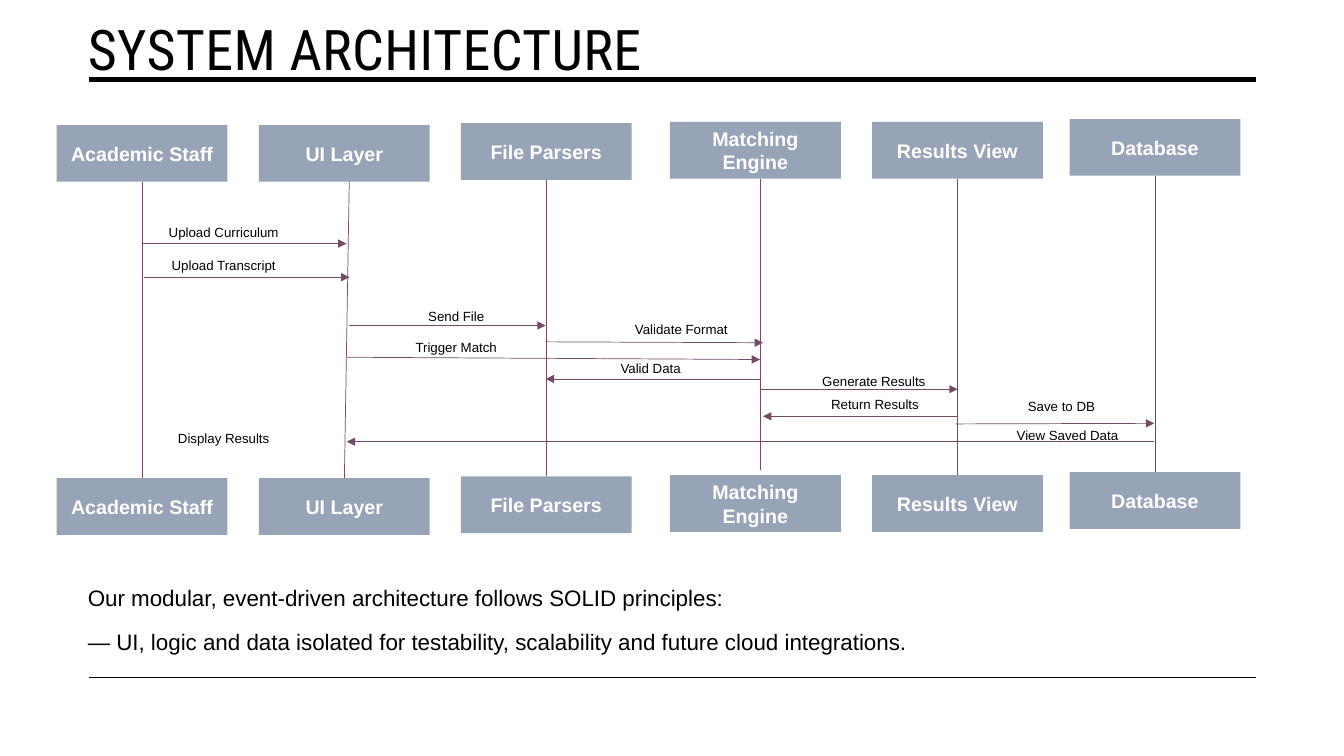
from lxml import etree
from pptx import Presentation
from pptx.dml.color import RGBColor
from pptx.enum.shapes import MSO_CONNECTOR, MSO_SHAPE
from pptx.enum.text import MSO_ANCHOR, MSO_AUTO_SIZE, PP_ALIGN
from pptx.oxml.ns import qn
from pptx.util import Pt

STRAIGHT = MSO_CONNECTOR.STRAIGHT
RECTANGLE = MSO_SHAPE.RECTANGLE
TOP, MIDDLE = MSO_ANCHOR.TOP, MSO_ANCHOR.MIDDLE
LEFT, CENTER = PP_ALIGN.LEFT, PP_ALIGN.CENTER
NO_AUTOFIT = MSO_AUTO_SIZE.NONE

COLOURS = {"text": "000000", "actor": "97A3B7", "actor_text": "FFFFFF", "line": "734B67"}
TITLE_FONT = {"name": "Roboto Condensed", "size": Pt(40), "bold": False}
BODY_FONT = {"name": "Arial", "size": Pt(16)}
ACTOR_FONT = {"name": "Arial", "size": Pt(14), "bold": True}
LABEL_FONT = {"name": "Arial", "size": Pt(9.5)}

ACTOR_WIDTH, ACTOR_HEIGHT = 122, 40.5
LOWER_ROW_OFFSET = 252.3
LABEL_WIDTH, LABEL_HEIGHT = 115.2, 19.4

# name, left, top, lifeline shift at its start and end, gap above the lower box
ACTORS = [
    ("Academic Staff", 40.5, 89.3, 0, 0, 0),
    ("UI Layer", 185, 89.3, 3.5, 0, 0),
    ("File Parsers", 329.2, 88, 0, 0, 0),
    ("Matching Engine", 478.6, 87.1, 3.3, 3.3, 3.5),
    ("Results View", 622.9, 87.1, 0, 0, 0),
    ("Database", 764, 85, 0, 0, 0),
]
LABELS = [
    ("Upload Curriculum", 102.2, 155.5),
    ("Upload Transcript", 102.2, 178.9),
    ("Display Results", 102.2, 303),
    ("Send File", 268.3, 215.3),
    ("Trigger Match", 268.3, 237.6),
    ("Validate Format", 429.1, 224.6),
    ("Valid Data", 407.2, 252.4),
    ("Generate Results", 566.6, 261.8),
    ("Return Results", 567.4, 278.6),
    ("Save to DB", 700.6, 280.1),
    ("View Saved Data", 704.9, 300.6),
]
MESSAGES = [
    (101.2, 174, 247.5, 174),
    (102.6, 198, 249.7, 198),
    (249.5, 232.5, 389.8, 232.5),
    (389.8, 244.2, 545, 244.8),
    (543.6, 278, 684, 278),
    (682.6, 302.8, 824.5, 302.4),
    (824.5, 315.5, 247.7, 315.5),
    (684, 297.4, 545, 297.4),
    (542.9, 270.7, 389.8, 270.7),
    (247.7, 255.2, 542.9, 256.8),
]

presentation = Presentation()
presentation.slide_width, presentation.slide_height = Pt(960), Pt(540)
slide = presentation.slides.add_slide(presentation.slide_layouts[1])


def write_text(shape, lines, font, colour, alignment, anchor, line_spacing=1.0):
    frame = shape.text_frame
    frame.text = "\n".join(lines)
    for name, value in {"word_wrap": True, "auto_size": NO_AUTOFIT, "vertical_anchor": anchor}.items():
        setattr(frame, name, value)
    for index, paragraph in enumerate(frame.paragraphs):
        paragraph.alignment = alignment
        paragraph.line_spacing = line_spacing
        paragraph.space_before = Pt(10 if index else 0)
        run = paragraph.runs[0]
        for name, value in font.items():
            setattr(run.font, name, value)
        run.font.color.rgb = RGBColor.from_string(COLOURS[colour])


def add_line(ends, colour, width):
    connector = slide.shapes.add_connector(STRAIGHT, *[Pt(value) for value in ends])
    connector.line.color.rgb = RGBColor.from_string(COLOURS[colour])
    connector.line.width = Pt(width)
    etree.SubElement(connector.element.spPr, qn("a:effectLst"))
    return connector


title = slide.shapes.title
body = slide.placeholders[1]
for placeholder, bounds in ((title, (55.5, 6.5, 841.7, 103)), (body, (55.5, 411.8, 796.3, 58.3))):
    for name, value in zip(("left", "top", "width", "height"), bounds):
        setattr(placeholder, name, Pt(value))

write_text(title, ["SYSTEM ARCHITECTURE"], TITLE_FONT, "text", LEFT, TOP)
title.text_frame.paragraphs[0].runs[0].font._element.set("spc", "30")

for paragraph_properties in ():
    pass

principles = [
    "Our modular, event-driven architecture follows SOLID principles:",
    "— UI, logic and data isolated for testability, scalability and future cloud integrations.",
]
write_text(body, principles, BODY_FONT, "text", LEFT, TOP, 1.1)
for paragraph in body.text_frame.paragraphs:
    properties = paragraph._p.get_or_add_pPr()
    properties.set("marL", "0")
    properties.set("indent", "0")
    etree.SubElement(properties, qn("a:buNone"))

for y, width in ((56.9, 3.5), (483.8, 1)):
    add_line((63.4, y, 897.1, y), "text", width)

for name, left, top, start_shift, end_shift, gap in ACTORS:
    boxes = []
    for box_top in (top, top + LOWER_ROW_OFFSET):
        box = slide.shapes.add_shape(RECTANGLE, Pt(left), Pt(box_top), Pt(ACTOR_WIDTH), Pt(ACTOR_HEIGHT))
        box.shadow.inherit = False
        box.fill.solid()
        box.fill.fore_color.rgb = RGBColor.from_string(COLOURS["actor"])
        box.line.fill.background()
        write_text(box, [name], ACTOR_FONT, "actor_text", CENTER, MIDDLE)
        boxes.append(box)
    middle = left + ACTOR_WIDTH / 2
    ends = (middle + start_shift, top + ACTOR_HEIGHT, middle + end_shift, top + LOWER_ROW_OFFSET - gap)
    lifeline = add_line(ends, "line", 0.5)
    if not start_shift:
        lifeline.begin_connect(boxes[0], 2)
    if not end_shift:
        lifeline.end_connect(boxes[1], 0)

for text, left, top in LABELS:
    label = slide.shapes.add_textbox(Pt(left), Pt(top), Pt(LABEL_WIDTH), Pt(LABEL_HEIGHT))
    write_text(label, [text], LABEL_FONT, "text", CENTER, TOP, 1.1)

for ends in MESSAGES:
    message = add_line(ends, "line", 0.5)
    etree.SubElement(message.line._get_or_add_ln(), qn("a:tailEnd"), type="triangle")

presentation.save("out.pptx")
